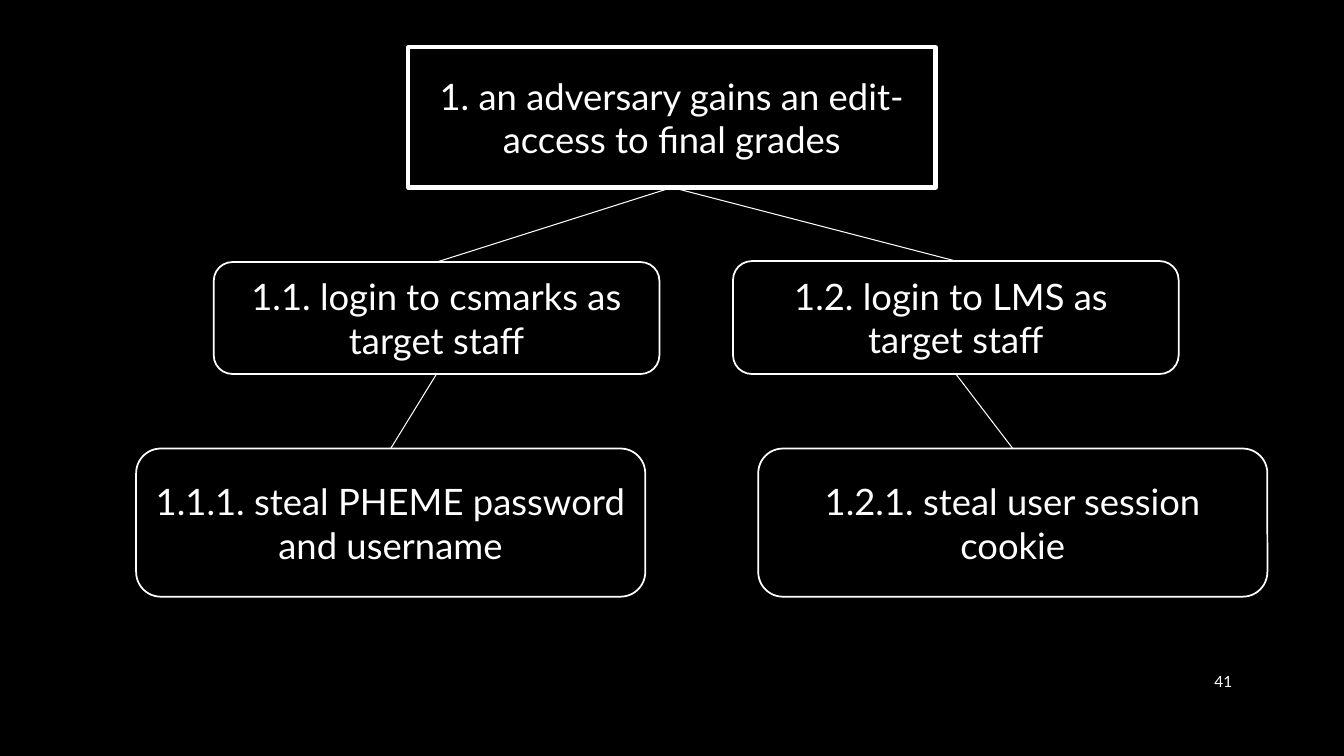
from lxml.etree import SubElement
from pptx import Presentation
from pptx.dml.color import RGBColor
from pptx.enum.shapes import MSO_CONNECTOR as Connector, MSO_SHAPE as Shape
from pptx.enum.text import MSO_ANCHOR as Anchor, PP_ALIGN as Align
from pptx.oxml.ns import qn
from pptx.util import Inches, Pt

COLOURS = {"background": "000000", "foreground": "FFFFFF"}
TOP, BOTTOM = 0, 2


class AttackTree:
    """Draws the boxes and branches of an attack tree on one slide."""

    def __init__(self, slide):
        self.slide = slide
        self.background = RGBColor.from_string(COLOURS["background"])
        self.foreground = RGBColor.from_string(COLOURS["foreground"])
        self.paint(slide.background.fill)

    def paint(self, fill):
        """Fill an area with the background colour."""
        fill.solid()
        fill.fore_color.rgb = self.background

    def outline(self, line, width):
        """Give a line its colour and its width in points."""
        line.color.rgb = self.foreground
        line.width = Pt(width)

    def set_text(self, shape, text, size, alignment):
        """Set one paragraph for each line of the text."""
        frame = shape.text_frame
        frame.word_wrap = True
        frame.vertical_anchor = Anchor.MIDDLE
        frame.text = text
        formats = {"name": "Lato", "size": Pt(size)}
        for paragraph in frame.paragraphs:
            paragraph.alignment = alignment
            paragraph.font.color.rgb = self.foreground
            for name, value in formats.items():
                setattr(paragraph.font, name, value)

    def node(self, text, place, kind=Shape.ROUNDED_RECTANGLE, width=1.25):
        """Add a box of the tree and return it."""
        shape = self.slide.shapes.add_shape(kind, *map(Inches, place))
        shape.shadow.inherit = False
        self.paint(shape.fill)
        self.outline(shape.line, width)
        self.set_text(shape, text, 26, Align.CENTER)
        return shape

    def branch(self, parent, child):
        """Join the bottom of a parent to the top of its child."""
        connector = self.slide.shapes.add_connector(Connector.STRAIGHT, 0, 0, 0, 0)
        connector.begin_connect(parent, BOTTOM)
        connector.end_connect(child, TOP)
        self.outline(connector.line, 0.75)
        SubElement(connector._element.spPr, qn("a:effectLst"))

    def page_number(self, text, place):
        """Add the slide number."""
        box = self.slide.shapes.add_textbox(*map(Inches, place))
        self.set_text(box, text, 11, Align.RIGHT)


def main():
    """Build the attack tree slide."""
    presentation = Presentation()
    presentation.slide_width = Inches(13.33)
    presentation.slide_height = Inches(7.5)
    tree = AttackTree(presentation.slides.add_slide(presentation.slide_layouts[6]))

    goal = tree.node("1. an adversary gains an edit-access to final grades",
                     (4.05, 0.47, 5.23, 1.39), Shape.RECTANGLE, 3)
    csmarks = tree.node("1.1. login to csmarks as target staff", (2.12, 2.6, 4.42, 1.11))
    lms = tree.node("1.2. login to LMS as \ntarget staff", (7.27, 2.59, 4.42, 1.12))
    password = tree.node("1.1.1. steal PHEME password and username", (1.35, 4.45, 5.05, 1.47))
    cookie = tree.node("1.2.1. steal user session cookie", (7.52, 4.45, 5.05, 1.47))

    for parent, child in ((goal, csmarks), (goal, lms), (csmarks, password), (lms, cookie)):
        tree.branch(parent, child)
    tree.page_number("41", (11.5, 6.56, 0.82, 0.4))
    presentation.save("out.pptx")


if __name__ == "__main__":
    main()
